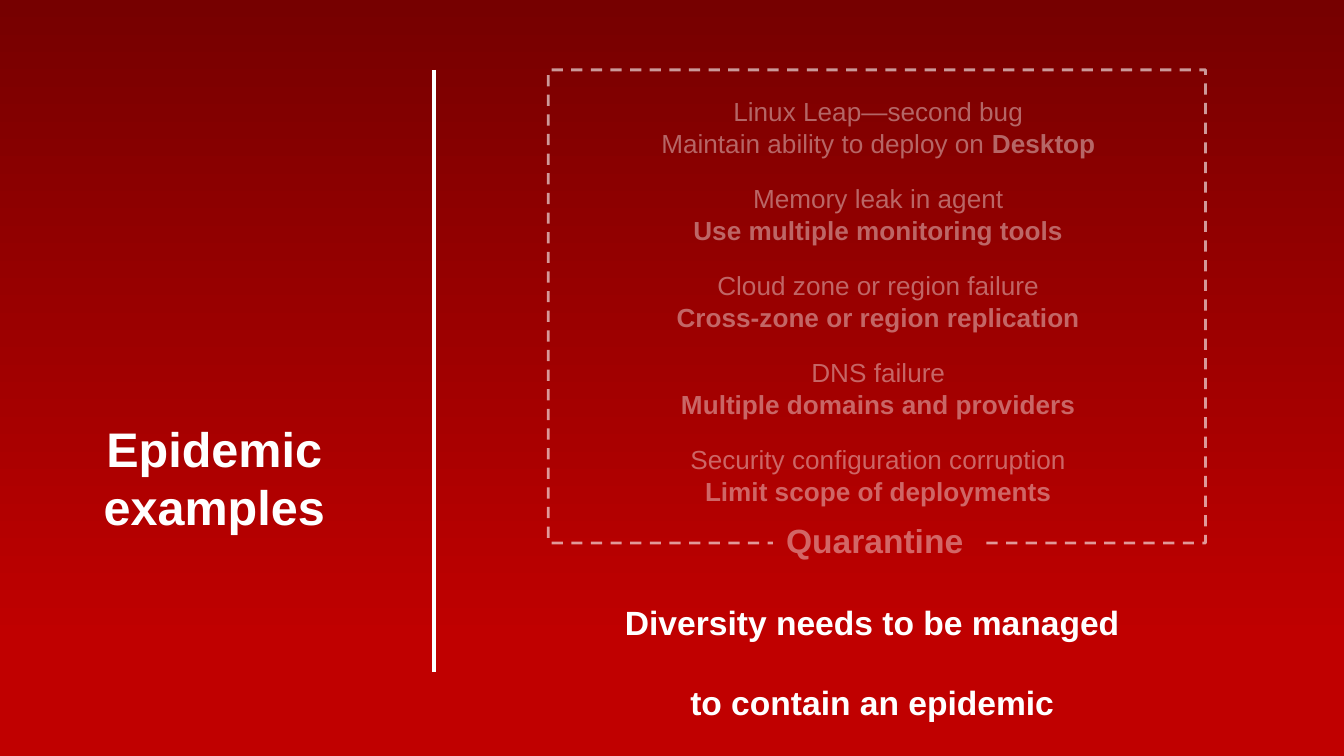
import pptx
import pptx.util
import pptx.dml.color
import pptx.enum.dml
import pptx.enum.shapes
import pptx.enum.text
import pptx.oxml

Inches = pptx.util.Inches
Pt = pptx.util.Pt
RGBColor = pptx.dml.color.RGBColor
Align = pptx.enum.text.PP_ALIGN
Anchor = pptx.enum.text.MSO_ANCHOR
Fit = pptx.enum.text.MSO_AUTO_SIZE
Shape = pptx.enum.shapes.MSO_SHAPE

WHITE = RGBColor(0xFF, 0xFF, 0xFF)
DARK = RGBColor(0x76, 0x00, 0x00)
RED = RGBColor(0xC0, 0x00, 0x00)
FONT = "Arial"
NS = 'xmlns:a="http://schemas.openxmlformats.org/drawingml/2006/main"'

TITLE = ["Epidemic", "examples"]
CASES = [
    ("Linux Leap—second bug", "Maintain ability to deploy on ", "Desktop"),
    ("Memory leak in agent", "", "Use multiple monitoring tools"),
    ("Cloud zone or region failure", "", "Cross-zone or region replication"),
    ("DNS failure", "", "Multiple domains and providers"),
    ("Security configuration corruption", "", "Limit scope of deployments"),
]
LABEL = "Quarantine"
CLOSING = ["Diversity needs to be managed", "to contain an epidemic"]


def fade(fill, share):
    color = fill._xPr.find(".//" + pptx.oxml.ns.qn("a:srgbClr"))
    color.append(pptx.oxml.parse_xml(f'<a:alpha {NS} val="{share * 1000}"/>'))


def style(para, size, bold, share=100, align=Align.CENTER):
    para.alignment = align
    font = para.font
    font.name, font.size, font.bold = FONT, Pt(size), bold
    font.color.rgb = WHITE
    if share < 100:
        fade(font.fill, share)


def place(shape, left, top, width, height):
    shape.left, shape.top = Inches(left), Inches(top)
    shape.width, shape.height = Inches(width), Inches(height)


def main():
    deck = pptx.Presentation()
    deck.slide_width = Inches(10)
    deck.slide_height = deck.slide_width * 9 // 16
    slide = deck.slides.add_slide(deck.slide_layouts[5])
    shapes = slide.shapes

    back = slide.background.fill
    back.gradient()
    back.gradient_angle = 270
    for stop, color, pos in zip(back.gradient_stops, (DARK, RED), (0, 0.85)):
        stop.color.rgb, stop.position = color, pos

    heads = [shapes.title, shapes.add_textbox(0, 0, 0, 0)]
    for head, word, top in zip(heads, TITLE, (3.07, 3.5)):
        place(head, 0.49, top, 2.21, 0.54)
        frame = head.text_frame
        frame.word_wrap, frame.auto_size = True, Fit.NONE
        frame.vertical_anchor = Anchor.TOP
        frame.text = word
        style(frame.paragraphs[0], 26, True)

    rule = shapes.add_connector(
        pptx.enum.shapes.MSO_CONNECTOR.STRAIGHT,
        Inches(3.23), Inches(0.52), Inches(3.23), Inches(5))
    rule.line.color.rgb, rule.line.width = WHITE, Pt(1.75)
    rule._element.spPr.append(pptx.oxml.parse_xml(f"<a:effectLst {NS}/>"))

    cases = shapes.add_textbox(0, 0, 0, 0)
    place(cases, 3.63, 0.59, 5.81, 3.3)
    frame = cases.text_frame
    frame.word_wrap, frame.vertical_anchor = True, Anchor.MIDDLE
    for i, (fault, lead, cure) in enumerate(CASES):
        para = frame.paragraphs[0] if i == 0 else frame.add_paragraph()
        para.space_after = Pt(13)
        para.add_run().text = fault
        para.add_line_break()
        if lead:
            para.add_run().text = lead
        run = para.add_run()
        run.text, run.font.bold = cure, True
        style(para, 14, False, 40)

    fence = shapes.add_shape(Shape.RECTANGLE, 0, 0, 0, 0)
    place(fence, 4.08, 0.52, 4.89, 3.52)
    fence.shadow.inherit = False
    fence.fill.background()
    fence.line.color.rgb, fence.line.width = WHITE, Pt(1.5)
    fence.line.dash_style = pptx.enum.dml.MSO_LINE.DASH
    fade(fence.line.fill, 60)

    label = shapes.add_shape(Shape.RECTANGLE, 0, 0, 0, 0)
    place(label, 5.75, 3.82, 1.55, 0.4)
    label.shadow.inherit = False
    label.line.fill.background()
    label._element.set("useBgFill", "1")
    label._element.remove(label._element.find(pptx.oxml.ns.qn("p:style")))
    frame = label.text_frame
    frame.word_wrap, frame.vertical_anchor = False, Anchor.TOP
    frame.text = LABEL
    style(frame.paragraphs[0], 18, True, 40, Align.LEFT)

    closing = shapes.add_textbox(0, 0, 0, 0)
    place(closing, 4.53, 4.43, 3.92, 0.71)
    frame = closing.text_frame
    frame.word_wrap = False
    frame.text = "\n".join(CLOSING)
    for para in frame.paragraphs:
        style(para, 18, True)
    frame.paragraphs[1].space_before = Pt(21.5)

    deck.save("out.pptx")


if __name__ == "__main__":
    main()
